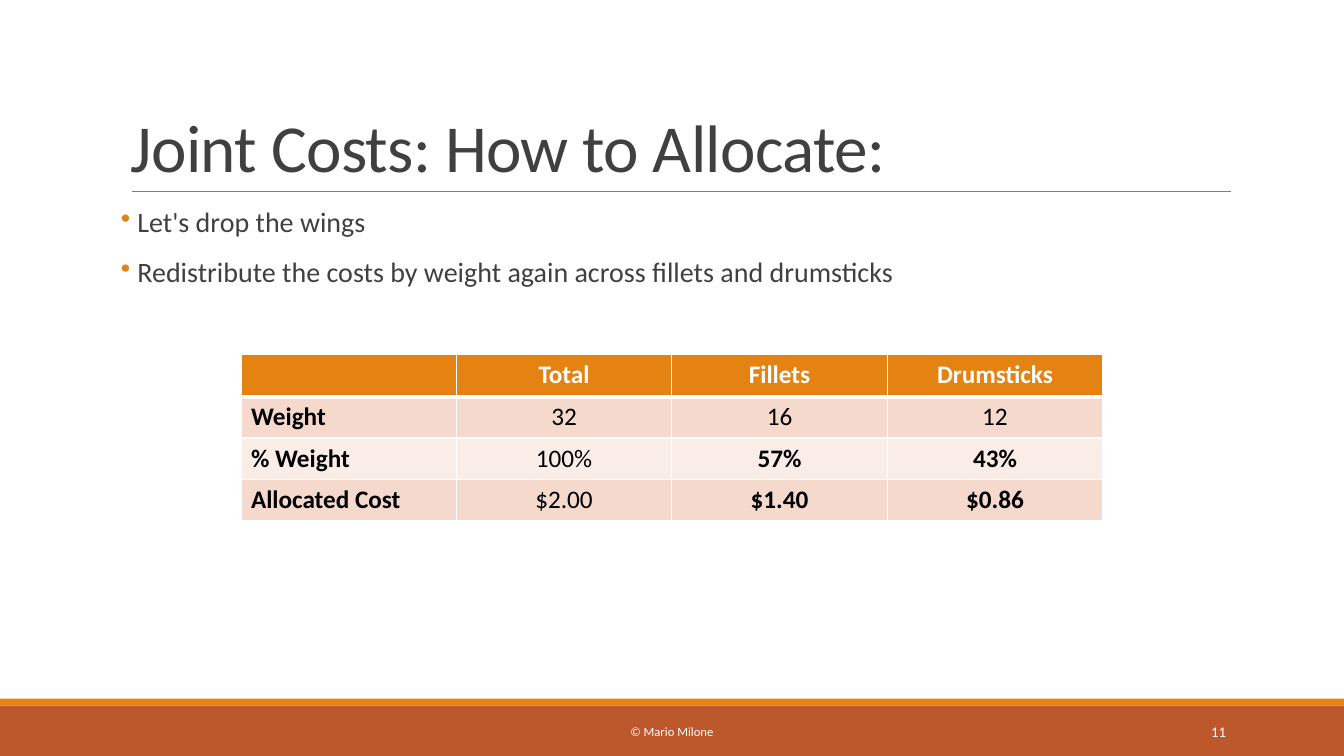
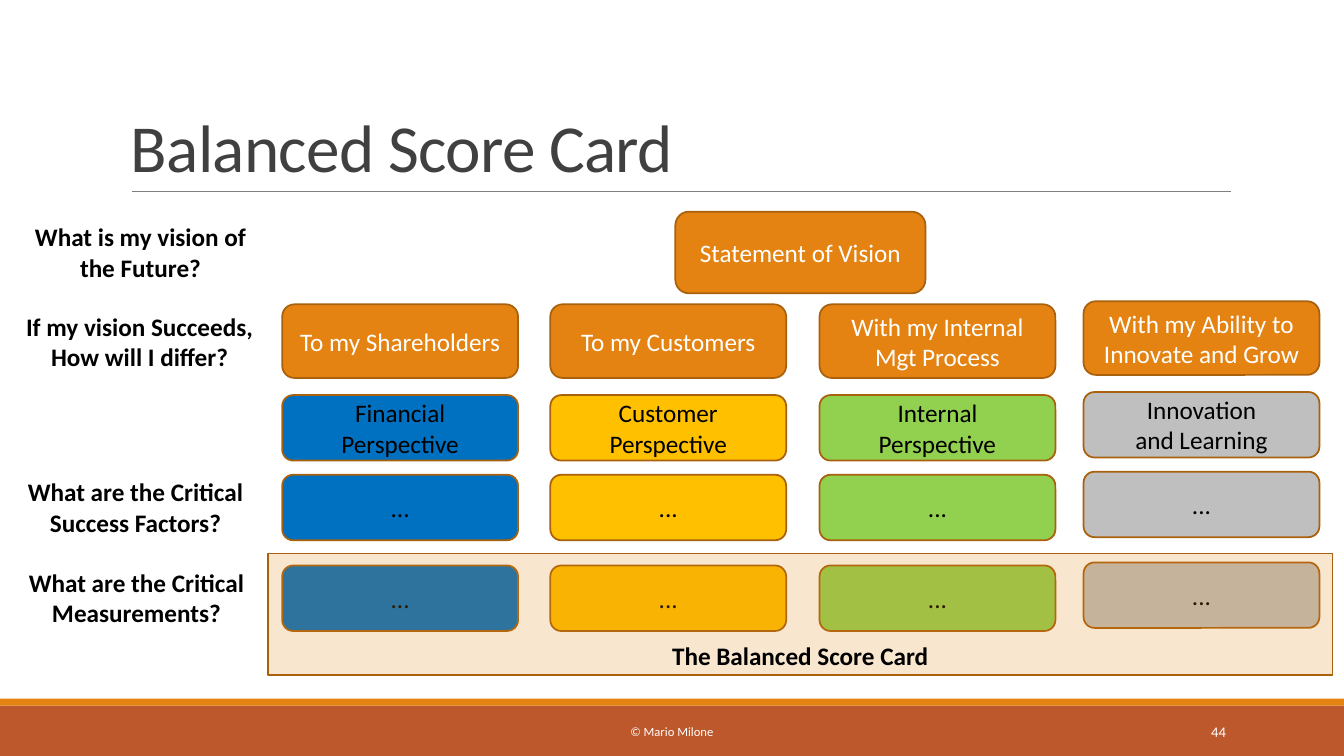
from dataclasses import dataclass
from typing import NamedTuple

from lxml import etree
from pptx import Presentation
from pptx.dml.color import RGBColor
from pptx.enum import shapes, text
from pptx.oxml import ns
from pptx.util import Pt

LEFT, CENTER, RIGHT = text.PP_ALIGN.LEFT, text.PP_ALIGN.CENTER, text.PP_ALIGN.RIGHT
TOP, MIDDLE, BOTTOM = text.MSO_ANCHOR.TOP, text.MSO_ANCHOR.MIDDLE, text.MSO_ANCHOR.BOTTOM
RECT = shapes.MSO_SHAPE.RECTANGLE
ROUNDED = shapes.MSO_SHAPE.FLOWCHART_ALTERNATE_PROCESS


@dataclass(frozen=True)
class Theme:
    font: str = "Calibri"
    ink: str = "404040"
    black: str = "000000"
    white: str = "FFFFFF"
    orange: str = "E48312"
    rust: str = "BD582C"
    outline: str = "A9610D"
    rule: str = "808080"
    band_dark: str = "F5D9CC"
    band_light: str = "FAEDE7"
    perspectives: tuple = ("0070C0", "FFC000", "92D050", "BFBFBF")
    title_size: float = 48
    body_size: float = 20
    label_size: float = 18
    credit_size: float = 9
    number_size: float = 10.5


THEME = Theme()


class Box(NamedTuple):
    x: float
    y: float
    w: float
    h: float

    def inner(self, dx, dy, w, h):
        return Box(self.x + dx, self.y + dy, w, h)

    def points(self):
        return [Pt(v) for v in self]


PAGE = Box(0, 0, 960, 540)
TITLE = Box(86.4, 22.3, 792, 114.5)
BODY = Box(86.4, 145.4, 792, 316.8)
CARD = Box(8.6, 151.2, 943.2, 331.2)
FOOTER = Box(0, 499, 960, 41)


# Shared helpers
def rgb(colour):
    return RGBColor.from_string(colour)


def add_xml(parent, tag, **attributes):
    return etree.SubElement(parent, ns.qn(tag), attributes)


def write(paragraph, words, size, colour, align=LEFT, bold=False):
    paragraph.alignment = align
    run = paragraph.add_run()
    run.text = words
    font = run.font
    font.name, font.size, font.bold = THEME.font, Pt(size), bold
    font.color.rgb = rgb(colour)
    return run


def write_lines(frame, lines, size, colour, align=LEFT, bold=False, anchor=TOP):
    frame.word_wrap = True
    frame.vertical_anchor = anchor
    for index, line in enumerate(lines):
        paragraph = frame.add_paragraph() if index else frame.paragraphs[0]
        write(paragraph, line, size, colour, align, bold)


def add_label(slide, box, lines, size, colour, **style):
    label = slide.shapes.add_textbox(*box.points())
    write_lines(label.text_frame, lines, size, colour, **style)
    return label.text_frame


def add_block(slide, box, fill, kind=RECT, outline=None):
    block = slide.shapes.add_shape(kind, *box.points())
    block.shadow.inherit = False
    block.fill.solid()
    block.fill.fore_color.rgb = rgb(fill)
    if outline:
        block.line.color.rgb = rgb(outline)
        block.line.width = Pt(1.25)
    else:
        block.line.fill.background()
    return block


def add_card(slide, box, fill, lines, colour):
    card = add_block(slide, box, fill, ROUNDED, THEME.outline)
    write_lines(card.text_frame, lines, THEME.label_size, colour,
                align=CENTER, anchor=MIDDLE)


# Title and the line beneath it
def add_title(slide, box, words):
    frame = add_label(slide, box, [words], THEME.title_size, THEME.ink, anchor=BOTTOM)
    heading = frame.paragraphs[0]
    heading.line_spacing = 0.85
    heading.runs[0].font._element.set("spc", "-50")
    bottom = Pt(box.y + box.h)
    rule = slide.shapes.add_connector(
        shapes.MSO_CONNECTOR.STRAIGHT,
        Pt(box.x + 7.9), bottom, Pt(box.x + box.w + 0.7), bottom)
    rule.line.color.rgb = rgb(THEME.rule)
    rule.line.width = Pt(0.5)
    add_xml(rule._element.spPr, "a:effectLst")


# Footer bands, credit and slide number
def add_footer(slide, box, number):
    add_block(slide, box.inner(0, 5, box.w, box.h - 5), THEME.rust)
    add_block(slide, box.inner(0, 0, box.w, 5), THEME.orange)
    add_label(slide, box.inner(290.2, 9.3, 379.4, 28.8), ["© Mario Milone"],
              THEME.credit_size, THEME.white, align=CENTER, anchor=MIDDLE)
    add_label(slide, box.inner(779.8, 9.3, 103, 28.8), [str(number)],
              THEME.number_size, THEME.white, align=RIGHT, anchor=MIDDLE)


def new_slide(deck, title, number):
    slide = deck.slides.add_slide(deck.slide_layouts[6])
    add_footer(slide, FOOTER, number)
    add_title(slide, TITLE, title)
    return slide


# Bulleted points
def add_bullets(slide, box, points):
    frame = add_label(slide, box, points, THEME.body_size, THEME.ink)
    frame.margin_left = frame.margin_right = 0
    for paragraph in frame.paragraphs:
        paragraph.line_spacing = 0.9
        paragraph.space_before, paragraph.space_after = Pt(12), Pt(2)
        props = paragraph._p.get_or_add_pPr()
        props.set("marL", str(Pt(7.2)))
        props.set("indent", str(-Pt(7.2)))
        add_xml(add_xml(props, "a:buClr"), "a:srgbClr", val=THEME.orange)
        add_xml(props, "a:buChar", char="•")


# Cost table
def add_borders(cell, top, bottom):
    props = cell._tc.get_or_add_tcPr()
    for side, width in (("L", 1), ("R", 1), ("T", top), ("B", bottom)):
        edge = add_xml(props, f"a:ln{side}", w=str(Pt(width)))
        add_xml(add_xml(edge, "a:solidFill"), "a:srgbClr", val=THEME.white)


def add_cost_table(slide, box, rows, bold_cells):
    table = slide.shapes.add_table(len(rows), len(rows[0]), *box.points()).table
    table.horz_banding = False
    for column in table.columns:
        column.width = Pt(box.w / len(rows[0]))
    for r, row in enumerate(rows):
        table.rows[r].height = Pt(29.5 if r else 30)
        for c, words in enumerate(row):
            cell = table.cell(r, c)
            add_borders(cell, 3 if r == 1 else 1, 1 if r else 3)
            band = THEME.band_dark if r % 2 else THEME.band_light
            cell.fill.solid()
            cell.fill.fore_color.rgb = rgb(band if r else THEME.orange)
            if words:
                write(cell.text_frame.paragraphs[0], words, THEME.label_size,
                      THEME.black if r else THEME.white,
                      CENTER if c else LEFT,
                      r == 0 or c == 0 or (r, c) in bold_cells)


# Score card: questions at the left, four columns at the right
QUESTIONS = [
    (3.6, 3.6, "What is my vision of the Future?"),
    (2.9, 67.7, "If my vision Succeeds, How will I differ?"),
    (0, 185.8, "What are the Critical Success Factors?"),
    (0.7, 250.6, "What are the Critical Measurements?"),
]
COLUMNS = [  # left, rise, audience, perspective
    (193, 0, "To my Shareholders", ["Financial", "Perspective"]),
    (384.5, 0, "To my Customers", ["Customer", "Perspective"]),
    (576.8, 0, "With my Internal Mgt Process", ["Internal", "Perspective"]),
    (765.4, 2.2, "With my Ability to Innovate and Grow", ["Innovation", "and Learning"]),
]


def add_score_card(slide, box):
    add_card(slide, box.inner(473.8, 0, 178.6, 58.3), THEME.orange,
             ["Statement of Vision"], THEME.white)
    for dx, dy, question in QUESTIONS:
        add_label(slide, box.inner(dx, dy, 176.4, 47.5), [question],
                  THEME.label_size, THEME.black, align=CENTER, bold=True)

    for (left, rise, audience, perspective), colour in zip(COLUMNS, THEME.perspectives):
        add_card(slide, box.inner(left, 66.2 - rise, 168.5, 52.6), THEME.orange,
                 [audience], THEME.white)
        for top, lines in ((131, perspective), (187.9, ["..."]), (252.7, ["..."])):
            add_card(slide, box.inner(left, top - rise, 168.5, 46.8), colour,
                     lines, THEME.black)

    # Translucent frame over the measurements
    frame = add_block(slide, box.inner(182.9, 244.1, 760.3, 87.1), THEME.orange,
                      outline=THEME.outline)
    tint = frame._element.spPr.find(ns.qn("a:solidFill"))[0]
    add_xml(tint, "a:alpha", val="20000")
    write_lines(frame.text_frame, ["The Balanced Score Card"], THEME.label_size,
                THEME.black, align=CENTER, bold=True, anchor=BOTTOM)


# Slides
def add_joint_costs_slide(deck):
    slide = new_slide(deck, "Joint Costs: How to Allocate:", 11)
    add_bullets(slide, BODY, [
        " Let's drop the wings",
        " Redistribute the costs by weight again across fillets and drumsticks",
    ])
    add_cost_table(slide, BODY.inner(85.7, 108, 615.6, 118.5), [
        ["", "Total", "Fillets", "Drumsticks"],
        ["Weight", "32", "16", "12"],
        ["% Weight", "100%", "57%", "43%"],
        ["Allocated Cost", "$2.00", "$1.40", "$0.86"],
    ], bold_cells={(2, 2), (2, 3), (3, 2), (3, 3)})


def add_score_card_slide(deck):
    slide = new_slide(deck, "Balanced Score Card", 44)
    add_score_card(slide, CARD)


def main():
    deck = Presentation()
    deck.slide_width, deck.slide_height = Pt(PAGE.w), Pt(PAGE.h)
    add_joint_costs_slide(deck)
    add_score_card_slide(deck)
    deck.save("out.pptx")


if __name__ == "__main__":
    main()
